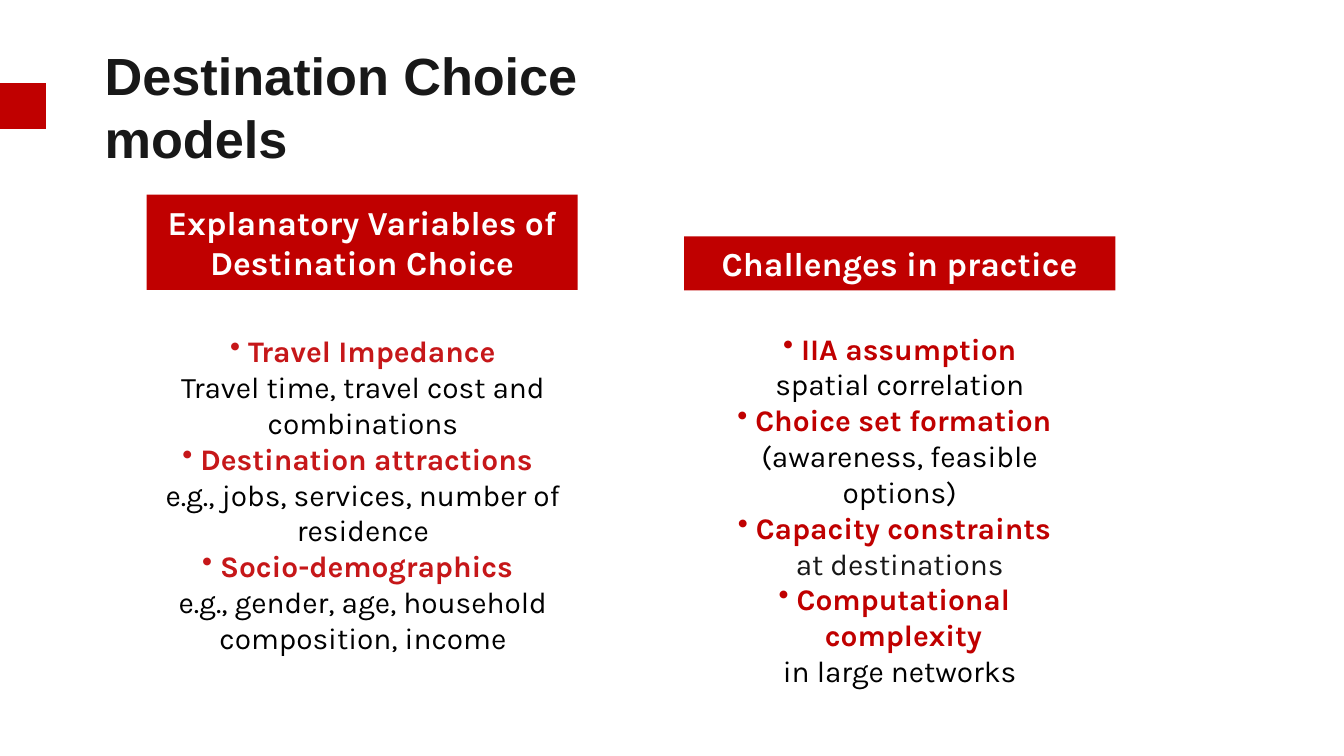
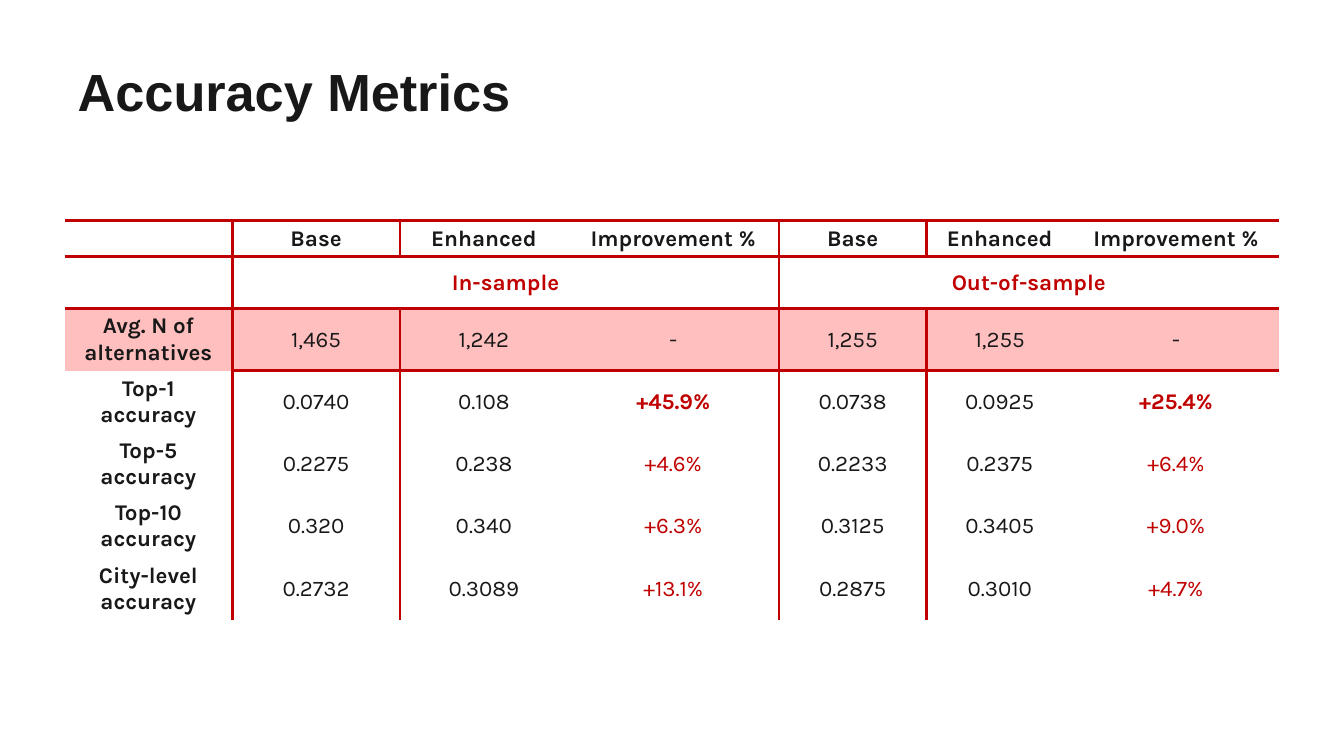
from lxml import etree
from pptx import Presentation
from pptx import util as u
from pptx.dml.color import RGBColor
from pptx.enum import shapes, text
from pptx.oxml.ns import qn

COLORS = {"red": "C00000", "crimson": "C61719", "ink": "181818",
          "black": "000000", "white": "FFFFFF", "pink": "FFBFBF"}

FORMATS = {
    "title": {"name": "Arial", "size": u.Pt(28), "bold": True},
    "header": {"name": "Karla", "size": u.Pt(18), "bold": True},
    "point": {"name": "Karla", "size": u.Pt(16), "bold": True},
    "detail": {"name": "Karla", "size": u.Pt(16), "bold": False},
    "label": {"name": "Karla", "size": u.Pt(12), "bold": True},
    "value": {"name": "Karla", "size": u.Pt(12), "bold": False},
}

COLUMNS = [
    {"header": "Explanatory Variables of Destination Choice",
     "header_at": (2.77, 3.68, 8.15, 1.8),
     "body_at": (2.01, 6.17, 9.7, 7.09),
     "point_color": "crimson",
     "points": [
         ("Travel Impedance", "Travel time, travel cost and combinations", "black"),
         ("Destination attractions", "e.g., jobs, services, number of residence", "black"),
         ("Socio-demographics", "e.g., gender, age, household composition, income", "black"),
     ]},
    {"header": "Challenges in practice",
     "header_at": (12.93, 4.47, 8.15, 1.02),
     "body_at": (12.93, 6.12, 8.15, 6.4),
     "point_color": "red",
     "points": [
         ("IIA assumption", "spatial correlation", "black"),
         ("Choice set formation", "(awareness, feasible options)", "black"),
         ("Capacity constraints", "at destinations", "ink"),
         ("Computational complexity", "in large networks", "black"),
     ]},
]

METRICS = [
    ["", "Base", "Enhanced", "Improvement %", "Base", "Enhanced", "Improvement %"],
    ["", "In-sample", "", "", "Out-of-sample", "", ""],
    ["Avg. N of alternatives", "1,465", "1,242", "-", "1,255", "1,255", "-"],
    ["Top-1 accuracy", "0.0740", "0.108", "+45.9%", "0.0738", "0.0925", "+25.4%"],
    ["Top-5 accuracy", "0.2275", "0.238", "+4.6%", "0.2233", "0.2375", "+6.4%"],
    ["Top-10 accuracy", "0.320", "0.340", "+6.3%", "0.3125", "0.3405", "+9.0%"],
    ["City-level accuracy", "0.2732", "0.3089", "+13.1%", "0.2875", "0.3010", "+4.7%"],
]
COLUMN_WIDTHS = [3.17, 3.17, 3.17, 3.99, 2.79, 2.77, 3.89]
ROW_HEIGHTS = [0.68, 0.98] + [1.16] * 5
GROUP_STARTS = (1, 4)
GROUP_SIZE = 3
HEADER_ROWS = 2
SHADED_ROW = 2
HIGHLIGHTS = ("+45.9%", "+25.4%")
NO_GRID_STYLE = "{2D5ABB26-0587-4C30-8999-92F81FD0307C}"


def color(name):
    return RGBColor.from_string(COLORS[name])


def place(at):
    return [u.Cm(length) for length in at]


def write(para, words, style, color_name, align=text.PP_ALIGN.CENTER):
    para.alignment = align
    span = para.add_run()
    span.text = words
    for name, value in FORMATS[style].items():
        setattr(span.font, name, value)
    span.font.color.rgb = color(color_name)


def add_text_box(page, at, anchor=text.MSO_ANCHOR.TOP):
    frame = page.shapes.add_textbox(*place(at)).text_frame
    frame.word_wrap = True
    frame.vertical_anchor = anchor
    return frame


def add_title(page, words, at):
    frame = add_text_box(page, at, text.MSO_ANCHOR.MIDDLE)
    write(frame.paragraphs[0], words, "title", "ink", text.PP_ALIGN.LEFT)


def add_band(page, at):
    band = page.shapes.add_shape(shapes.MSO_SHAPE.RECTANGLE, *place(at))
    band.shadow.inherit = False
    band.fill.solid()
    band.fill.fore_color.rgb = color("red")
    band.line.fill.background()
    return band


def add_bullet(para):
    props = para._p.get_or_add_pPr()
    props.set("marL", str(u.Cm(0.34)))
    props.set("indent", str(-u.Cm(0.34)))
    etree.SubElement(props, qn("a:buChar")).set("char", "•")


def inset_sides(para):
    props = para._p.get_or_add_pPr()
    for side in ("marL", "marR"):
        props.set(side, str(u.Cm(0.2)))


def add_column(page, column):
    frame = add_band(page, column["header_at"]).text_frame
    frame.word_wrap = True
    write(frame.paragraphs[0], column["header"], "header", "white")
    frame = add_text_box(page, column["body_at"])
    for index, (point, detail, detail_color) in enumerate(column["points"]):
        para = frame.add_paragraph() if index else frame.paragraphs[0]
        add_bullet(para)
        write(para, point, "point", column["point_color"])
        para = frame.add_paragraph()
        inset_sides(para)
        write(para, detail, "detail", detail_color)


def add_borders(cell, row, col):
    def ruled(edge):
        return edge < HEADER_ROWS or (edge == HEADER_ROWS and col > 0)

    edges = {"a:lnL": col in GROUP_STARTS, "a:lnR": col + 1 in GROUP_STARTS,
             "a:lnT": ruled(row), "a:lnB": ruled(row + 1)}
    props = cell._tc.get_or_add_tcPr()
    drawn = [tag for tag, shown in edges.items() if shown]
    for position, tag in enumerate(drawn):
        line = etree.Element(qn(tag), w=str(u.Pt(1.5)))
        fill = etree.SubElement(line, qn("a:solidFill"))
        etree.SubElement(fill, qn("a:srgbClr"), val=COLORS["red"])
        props.insert(position, line)


def fill_cell(cell, words, row, col):
    cell.vertical_anchor = text.MSO_ANCHOR.MIDDLE
    cell.margin_left = cell.margin_right = u.Cm(0.18)
    cell.margin_top = cell.margin_bottom = u.Cm(0.08)
    if row == SHADED_ROW:
        cell.fill.solid()
        cell.fill.fore_color.rgb = color("pink")
    else:
        cell.fill.background()
    para = cell.text_frame.paragraphs[0]
    if words:
        bold = row < HEADER_ROWS or col == 0 or words in HIGHLIGHTS
        red = row == 1 or words.startswith("+")
        write(para, words, "label" if bold else "value", "red" if red else "ink")
    else:
        etree.SubElement(para._p, qn("a:endParaRPr"), sz="1200")
    add_borders(cell, row, col)


def add_metrics(page, left, top):
    at = (left, top, sum(COLUMN_WIDTHS), sum(ROW_HEIGHTS))
    table = page.shapes.add_table(len(METRICS), len(COLUMN_WIDTHS), *place(at)).table
    table.first_row = table.horz_banding = False
    table._tbl.tblPr.find(qn("a:tableStyleId")).text = NO_GRID_STYLE
    for column, width in zip(table.columns, COLUMN_WIDTHS):
        column.width = u.Cm(width)
    for row, (words_row, height) in enumerate(zip(METRICS, ROW_HEIGHTS)):
        table.rows[row].height = u.Cm(height)
        for col, words in enumerate(words_row):
            fill_cell(table.cell(row, col), words, row, col)
    for start in GROUP_STARTS:
        table.cell(1, start).merge(table.cell(1, start + GROUP_SIZE - 1))


def main():
    deck = Presentation()
    deck.slide_width, deck.slide_height = u.Cm(25.4), u.Cm(14.29)
    blank = deck.slide_layouts[6]

    page = deck.slides.add_slide(blank)
    add_title(page, "Destination Choice models", (1.73, 0.94, 13.15, 2.13))
    add_band(page, (0, 1.57, 0.87, 0.87))
    for column in COLUMNS:
        add_column(page, column)

    page = deck.slides.add_slide(blank)
    add_metrics(page, 1.22, 4.17)
    add_title(page, "Accuracy Metrics", (1.22, 0.99, 9.73, 1.45))

    deck.save("out.pptx")


if __name__ == "__main__":
    main()
